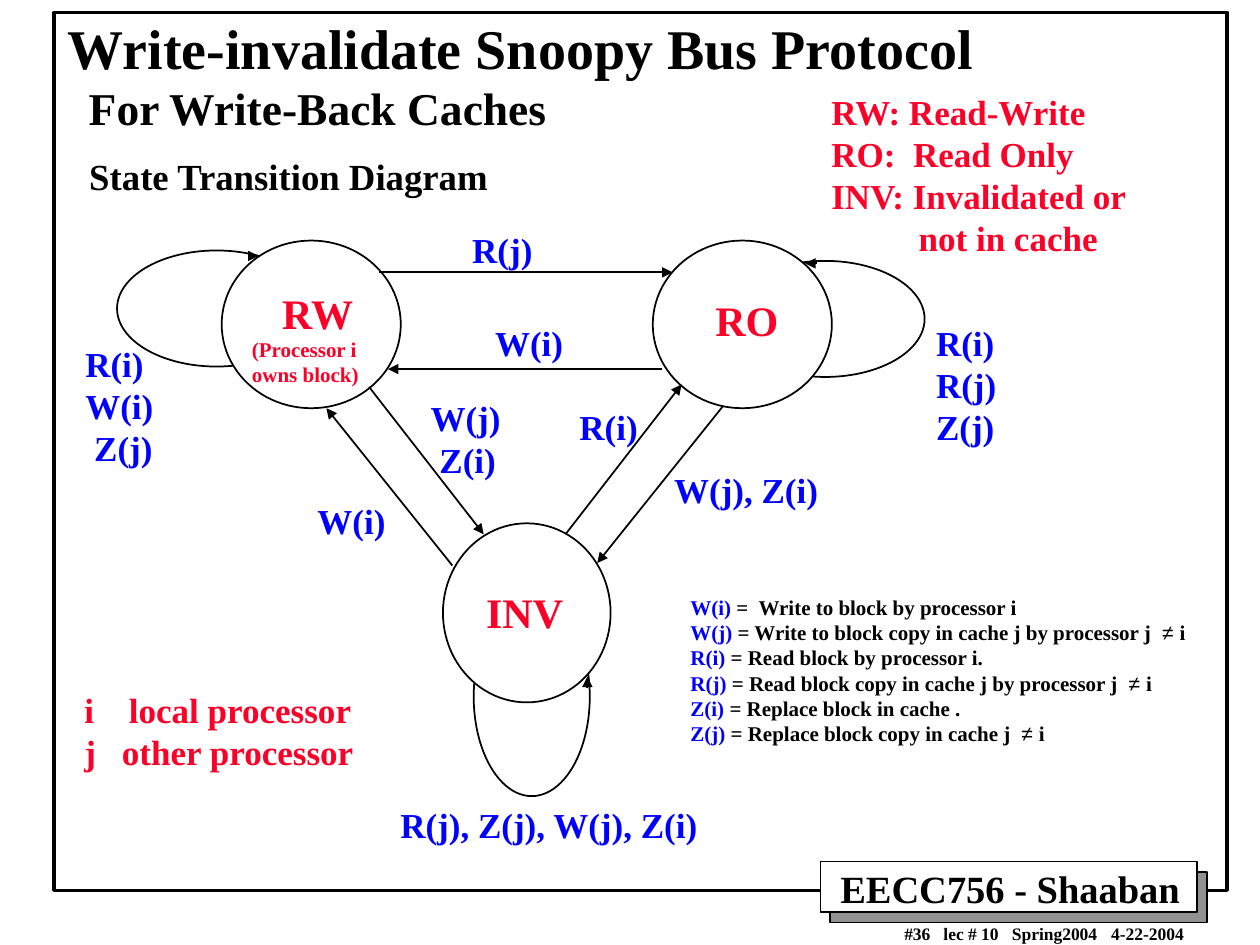
"""Build a slide showing the state diagram of a write-invalidate snoopy bus protocol."""
from lxml.etree import SubElement
from pptx import Presentation
from pptx.dml.color import RGBColor
from pptx.enum.shapes import MSO_CONNECTOR, MSO_SHAPE
from pptx.enum.text import MSO_ANCHOR, MSO_AUTO_SIZE
from pptx.oxml.ns import qn
from pptx.util import Cm, Pt

COLORS = {"black": "000000", "white": "FFFFFF", "grey": "919191",
          "red": "FC0128", "blue": "0000FF"}
FONT = "Times New Roman"

STATES = [
    (4.47, 4.85, 3.61, 3.38),
    (13.16, 4.85, 3.61, 3.38),
    (8.93, 10.55, 3.38, 3.61),
]
LOOPS = [
    (2.36, 5.05, 4.01, 2.34),
    (14.63, 5.26, 4.01, 2.34),
    (9.55, 12.04, 2.34, 4.01),
]
ARROWS = [
    (7.65, 5.49, 13.56, 5.49),
    (13.34, 7.44, 7.82, 7.44),
    (7.44, 7.8, 9.75, 10.77),
    (9.12, 11.4, 6.58, 8.23),
    (11.4, 10.77, 13.74, 7.75),
    (14.58, 8.18, 12.04, 11.35),
    (5, 5.16, 5.21, 5.16),
    (16.46, 5.31, 16.23, 5.31),
    (11.84, 13.87, 11.84, 13.64),
]
STATE_NAMES = [
    (5.44, 5.68, 2.1, "RW"),
    (14.17, 5.81, 1.95, "RO"),
    (9.55, 11.7, 2.2, "INV"),
]
EVENTS = [
    (13.34, 9.32, 3.7, "W(j), Z(i)"),
    (18.62, 6.35, 1.95, "R(i)\nR(j)\nZ(j)"),
    (7.82, 16.08, 6.7, "R(j), Z(j), W(j), Z(i)"),
    (9.27, 4.48, 1.95, "R(j)"),
    (9.73, 6.35, 2.1, "W(i)"),
    (6.15, 9.94, 2.1, "W(i)"),
    (11.43, 8.05, 1.9, "R(i)"),
]
FOOTER = [
    (17.98, "#36"),
    (18.77, "lec # 10"),
    (20.15, "Spring2004"),
    (22.15, "4-22-2004"),
]
MEANINGS = [
    ("W(i)", " =  Write to block by processor i", False),
    ("W(j)", " = Write to block copy in cache j by processor j  ", True),
    ("R(i)", " = Read block by processor i.", False),
    ("R(j)", " = Read block copy in cache j by processor j  ", True),
    ("Z(i)", " = Replace block in cache .", False),
    ("Z(j)", " = Replace block copy in cache j  ", True),
]


def rgb(name):
    """Return a palette colour."""
    return RGBColor.from_string(COLORS[name])


def add_outline(s, kind, box, fill=None, width=1):
    """Add a black-outlined preset shape, filled or empty."""
    sp = s.shapes.add_shape(kind, *map(Cm, box))
    sp.shadow.inherit = False
    if fill:
        sp.fill.solid()
        sp.fill.fore_color.rgb = rgb(fill)
    else:
        sp.fill.background()
    sp.line.color.rgb = rgb("black")
    sp.line.width = Pt(width)


def add_arrow(s, ends):
    """Add a straight line with a triangle at its end."""
    c = s.shapes.add_connector(MSO_CONNECTOR.STRAIGHT, *map(Cm, ends))
    c.line.color.rgb = rgb("black")
    c.line.width = Pt(1)
    SubElement(c.line._get_or_add_ln(), qn("a:tailEnd"), type="triangle")
    SubElement(c._element.spPr, qn("a:effectLst"))


def format_run(r, size, color, font=FONT, bold=True):
    """Set the font of a run."""
    r.font.name = font
    r.font.size = Pt(size)
    r.font.bold = bold
    r.font.color.rgb = rgb(color)


def add_text(s, box, text, size, color="black", anchor=MSO_ANCHOR.TOP):
    """Add a text box with one paragraph per line and return the paragraphs."""
    tf = s.shapes.add_textbox(*map(Cm, box)).text_frame
    tf.text = text
    tf.word_wrap = True
    tf.vertical_anchor = anchor
    if anchor == MSO_ANCHOR.TOP:
        tf.auto_size = MSO_AUTO_SIZE.SHAPE_TO_FIT_TEXT
    for p in tf.paragraphs:
        for r in p.runs:
            format_run(r, size, color)
    return tf.paragraphs


def set_indent(p, left):
    """Set the left indent of a paragraph."""
    pPr = p._p.get_or_add_pPr()
    pPr.set("marL", str(Cm(left)))
    pPr.set("indent", "0")


def add_frame(s):
    """Add the page border and the course label with its footer."""
    add_outline(s, MSO_SHAPE.RECTANGLE, (1.09, 0.25, 23.65, 17.7), width=2)
    add_outline(s, MSO_SHAPE.RECTANGLE, (16.74, 17.58, 7.59, 1.02), "grey")
    add_outline(s, MSO_SHAPE.RECTANGLE, (16.54, 17.37, 7.59, 1.02), "white")
    add_text(s, (16.69, 17.32, 7.6, 1.19), "EECC756 - Shaaban", 22)
    for x, part in FOOTER:
        add_text(s, (x, 18.49, 2.6, 0.64), part, 10, anchor=MSO_ANCHOR.MIDDLE)


def add_headings(s):
    """Add the title, its second line and the diagram heading."""
    title = add_text(s, (1.12, 0.64, 21.79, 1.7),
                     "Write-invalidate Snoopy Bus Protocol\nFor Write-Back Caches",
                     32, anchor=MSO_ANCHOR.MIDDLE)
    title[1].runs[0].font.size = Pt(26)
    set_indent(title[1], 0.42)
    add_text(s, (1.55, 2.97, 11, 1.14), "State Transition Diagram", 21)


def add_diagram(s):
    """Add the loops, states, transitions and their labels."""
    for loop, state in zip(LOOPS, STATES):
        add_outline(s, MSO_SHAPE.OVAL, loop)
        add_outline(s, MSO_SHAPE.OVAL, state, "white")
    for ends in ARROWS:
        add_arrow(s, ends)
    for x, y, w, name in STATE_NAMES:
        add_text(s, (x, y, w, 1.27), name, 24, "red")
    add_text(s, (4.83, 6.65, 2.9, 1.27), "(Processor i\nowns block)", 12, "red")
    for x, y, w, event in EVENTS:
        add_text(s, (x, y, w, 0.27 + 0.85 * len(event.split("\n"))), event, 20, "blue")
    for box, event in [((1.47, 6.78, 2.2, 2.79), "R(i)\nW(i)\nZ(j)"),
                       ((8.43, 7.87, 2.2, 1.96), "W(j)\nZ(i)")]:
        set_indent(add_text(s, box, event, 20, "blue")[-1], 0.18)


def add_keys(s):
    """Add the explanations of states, processors and events."""
    key = add_text(s, (16.51, 1.7, 6.8, 3.66),
                   "RW: Read-Write\nRO:  Read Only\nINV: Invalidated or\nnot in cache",
                   20, "red")
    set_indent(key[-1], 1.76)
    add_text(s, (1.45, 13.75, 0.9, 1.96), "i\nj", 20, "red")
    roles = add_text(s, (2.21, 13.75, 6.2, 1.96),
                     "local processor\nother processor", 20, "red")
    set_indent(roles[0], 0.14)
    events = "\n".join(event for event, _, _ in MEANINGS)
    lines = add_text(s, (13.67, 11.86, 11, 3.3), events, 12, "blue")
    for p, (_, meaning, differs) in zip(lines, MEANINGS):
        parts = [(meaning, FONT, True)]
        if differs:
            parts += [("≠ ", "Arial", False), ("i", FONT, True)]
        for text, font, bold in parts:
            r = p.add_run()
            r.text = text
            format_run(r, 12, "black", font, bold)


def main():
    """Build and save the slide."""
    prs = Presentation()
    prs.slide_width, prs.slide_height = Cm(25.4), Cm(19.05)
    s = prs.slides.add_slide(prs.slide_layouts[6])
    add_frame(s)
    add_headings(s)
    add_diagram(s)
    add_keys(s)
    prs.save("out.pptx")


if __name__ == "__main__":
    main()
